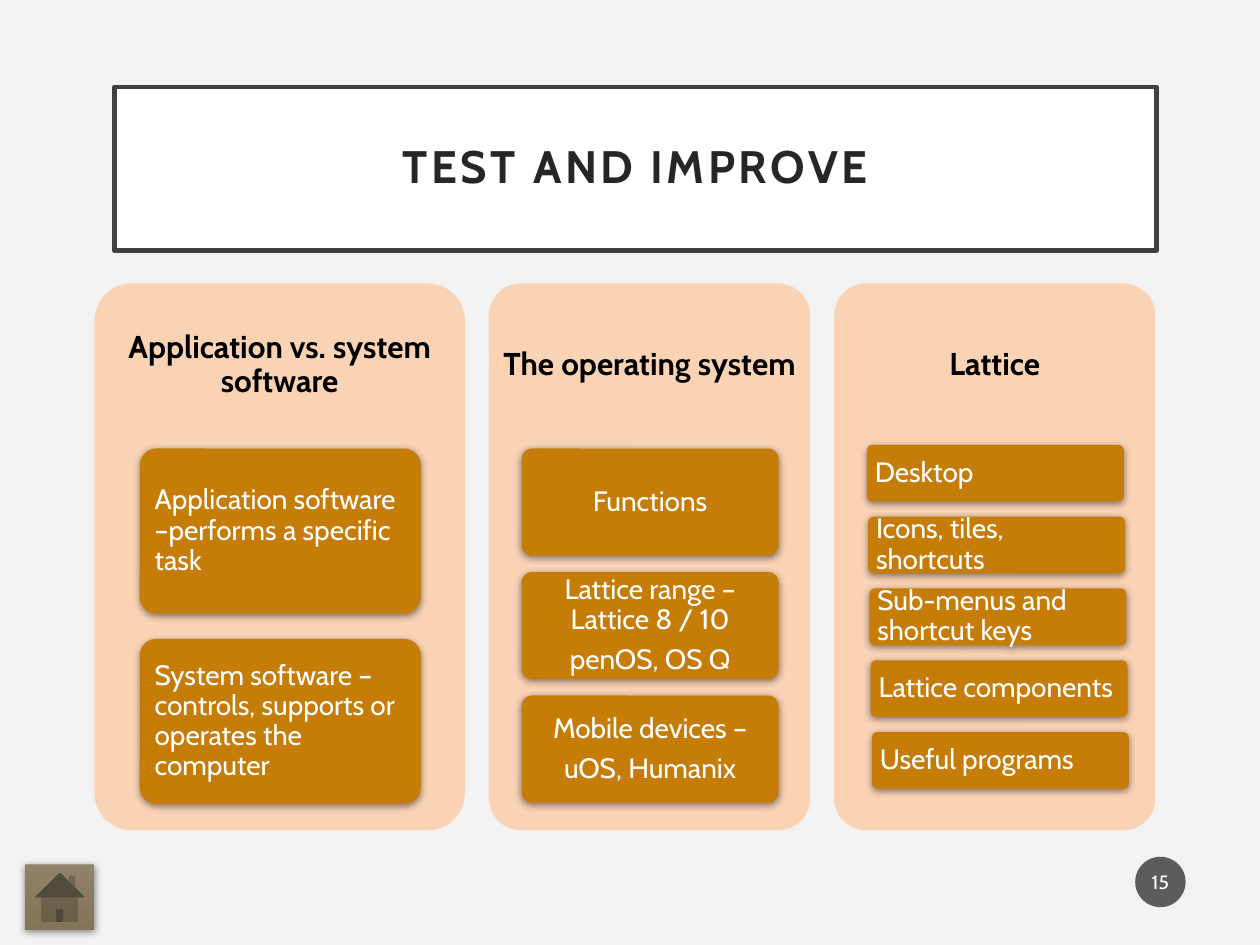
from dataclasses import dataclass

import lxml.etree
import pptx
import pptx.dml.color
import pptx.enum.shapes
import pptx.enum.text
import pptx.oxml.ns
import pptx.util

Inches = pptx.util.Inches
Pt = pptx.util.Pt
Kind = pptx.enum.shapes.MSO_SHAPE
Align = pptx.enum.text.PP_ALIGN
qn = pptx.oxml.ns.qn


@dataclass
class Box:
    left: float
    top: float
    width: float
    height: float


@dataclass
class Style:
    size: float
    tint: str
    align: Align = Align.CENTER
    bold: bool = False
    track: int = 0
    pad: float = 0.07
    lead: float = 0.9


@dataclass
class Panel:
    title: str
    left: float
    width: float
    cards: list[str]
    first: Box
    step: float
    drift: float
    align: Align
    pad: float


def color(code: str) -> pptx.dml.color.RGBColor:
    return pptx.dml.color.RGBColor.from_string(code)


def place(box: Box) -> tuple:
    return tuple(Inches(n) for n in (box.left, box.top, box.width, box.height))


def node(parent, tag: str, **attrs: str):
    return lxml.etree.SubElement(parent, qn(tag), attrs)


def draw(slide, kind, box: Box, fill: str):
    shape = slide.shapes.add_shape(kind, *place(box))
    shape.shadow.inherit = False
    shape.fill.solid()
    shape.fill.fore_color.rgb = color(fill)
    shape.line.fill.background()
    return shape


def round_box(slide, box: Box, fill: str):
    shape = draw(slide, Kind.ROUNDED_RECTANGLE, box, fill)
    shape.adjustments[0] = 0.1
    return shape


def shade(shape) -> None:
    effects = shape._element.spPr.find(qn("a:effectLst"))
    outer = node(effects, "a:outerShdw", blurRad=str(Pt(4.4)), dist=str(Pt(1.2)),
                 dir="5400000", algn="ctr", rotWithShape="0")
    tone = node(outer, "a:srgbClr", val="000000")
    node(tone, "a:alpha", val="45000")


def write(shape, text: str, style: Style) -> None:
    frame = shape.text_frame
    frame.text = text
    frame.word_wrap = True
    frame.vertical_anchor = pptx.enum.text.MSO_ANCHOR.MIDDLE
    frame.margin_left = frame.margin_right = Inches(style.pad)
    frame.margin_top = frame.margin_bottom = Inches(0.05)
    for para in frame.paragraphs:
        para.alignment = style.align
        para.line_spacing = style.lead
        for run in para.runs:
            run.font.name = "Cabin"
            run.font.size = Pt(style.size)
            run.font.bold = style.bold
            run.font.color.rgb = color(style.tint)
            if style.track:
                run._r.get_or_add_rPr().set("spc", str(style.track))
    for para in frame.paragraphs[:-1]:
        para.space_after = Pt(5.6)


def draw_panel(slide, panel: Panel) -> None:
    round_box(slide, Box(panel.left, 2.25, panel.width, 4.34), "FAD3B5")
    head = slide.shapes.add_textbox(*place(Box(panel.left, 2.25, panel.width, 1.3)))
    write(head, panel.title, Style(18, "000000", bold=True))
    base = panel.first
    for i, text in enumerate(panel.cards):
        box = Box(base.left + i * panel.drift, base.top + i * panel.step,
                  base.width, base.height)
        card = round_box(slide, box, "C67D08")
        shade(card)
        write(card, text, Style(16, "FFFFFF", panel.align, pad=panel.pad))


def draw_title(slide) -> None:
    title = draw(slide, Kind.RECTANGLE, Box(0.91, 0.69, 8.27, 1.3), "FFFFFF")
    title.line.color.rgb = color("404040")
    title.line.width = Pt(2.5)
    write(title, "TEST AND IMPROVE",
          Style(26, "262626", bold=True, track=200, pad=0.2))


def draw_badge(slide) -> None:
    badge = draw(slide, Kind.OVAL, Box(9.01, 6.8, 0.4, 0.4), "1D1D1D")
    tone = badge._element.spPr.find(qn("a:solidFill")).find(qn("a:srgbClr"))
    node(tone, "a:alpha", val="70000")
    write(badge, "15", Style(11, "FFFFFF", pad=0.02, lead=1.0))


def draw_home(slide) -> None:
    home = draw(slide, Kind.ACTION_BUTTON_HOME, Box(0.2, 6.86, 0.55, 0.52), "88795C")
    home.fill.gradient()
    home.fill.gradient_angle = 270
    for stop, code in zip(home.fill.gradient_stops, ("8F8269", "847557")):
        stop.color.rgb = color(code)
    shade(home)


PANELS = [
    Panel("Application vs. system software", 0.75, 2.94,
          ["Application software –performs a specific task",
           "System software – controls, supports or operates the computer"],
          Box(1.11, 3.56, 2.23, 1.31), 1.51, 0, Align.LEFT, 0.08),
    Panel("The operating system", 3.88, 2.55,
          ["Functions",
           "Lattice range –\vLattice 8 / 10\npenOS, OS Q",
           "Mobile devices –\nuOS, Humanix"],
          Box(4.14, 3.56, 2.04, 0.85), 0.98, 0, Align.CENTER, 0.06),
    Panel("Lattice", 6.62, 2.55,
          ["Desktop", "Icons, tiles, shortcuts", "Sub-menus and shortcut keys",
           "Lattice components", "Useful programs"],
          Box(6.88, 3.53, 2.04, 0.45), 0.57, 0.01, Align.LEFT, 0.05),
]


def main() -> None:
    deck = pptx.Presentation()
    deck.slide_width, deck.slide_height = Inches(10), Inches(7.5)
    slide = deck.slides.add_slide(deck.slide_layouts[6])
    slide.background.fill.solid()
    slide.background.fill.fore_color.rgb = color("F2F2F2")
    draw_badge(slide)
    for panel in PANELS:
        draw_panel(slide, panel)
    draw_home(slide)
    draw_title(slide)
    deck.save("out.pptx")


if __name__ == "__main__":
    main()
